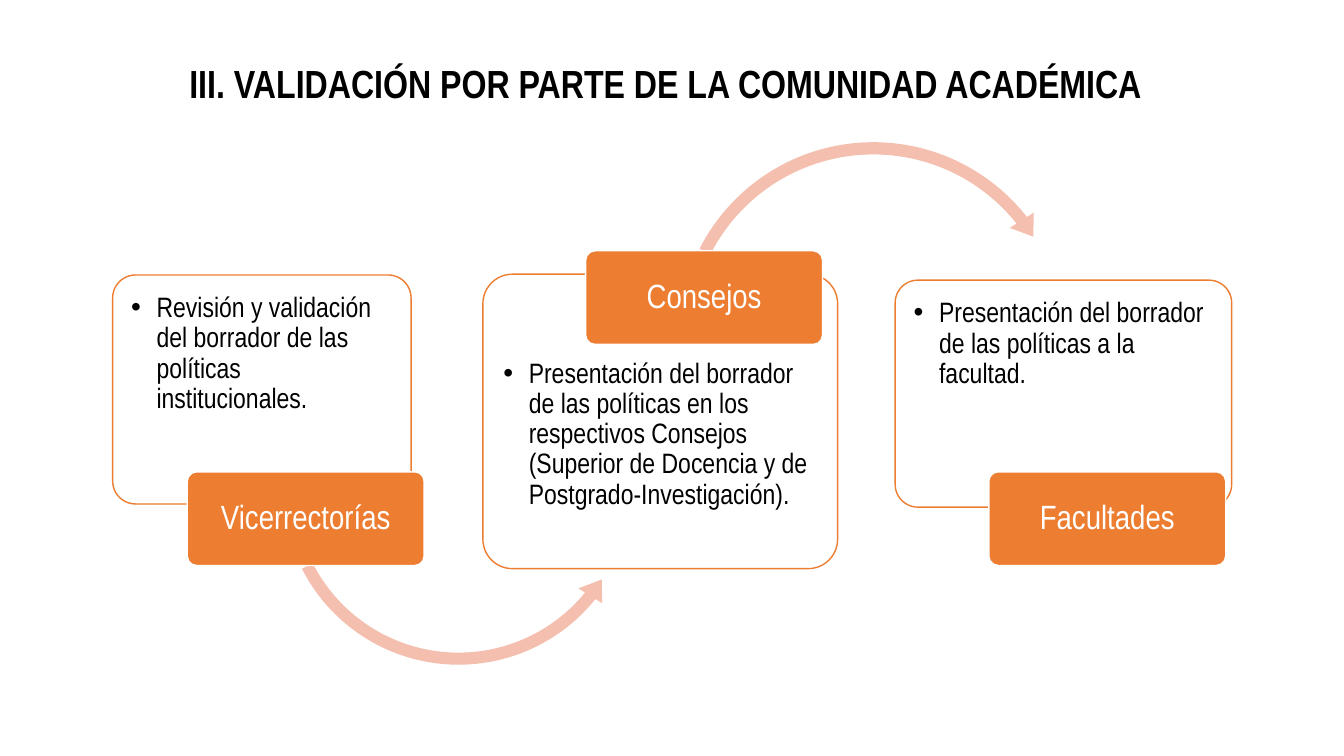
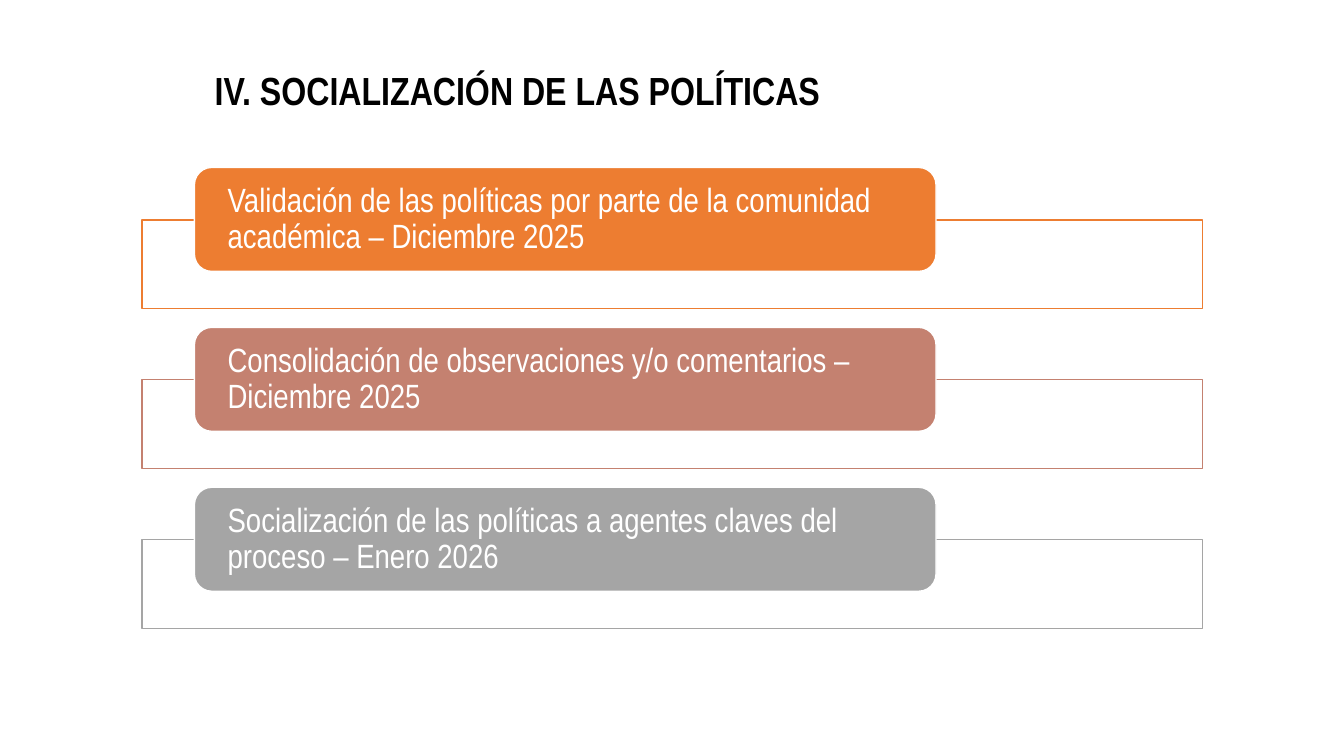
"""Build two slides on validating and sharing institutional policies."""
import pptx
import pptx.dml.color
import pptx.enum.shapes
import pptx.enum.text
import pptx.oxml.ns
import pptx.util
from lxml import etree

Cm = pptx.util.Cm
Pt = pptx.util.Pt
SHAPE = pptx.enum.shapes.MSO_SHAPE
ALIGN = pptx.enum.text.PP_ALIGN
ANCHOR = pptx.enum.text.MSO_ANCHOR
qn = pptx.oxml.ns.qn

FONT = "Arial Narrow"
COLORS = {
    "black": "000000",
    "white": "FFFFFF",
    "orange": "ED7D31",
    "peach": "F4BFAE",
    "rose": "C48170",
    "gray": "A5A5A5",
}


def rgb(name):
    """Return the named palette colour."""
    return pptx.dml.color.RGBColor.from_string(COLORS[name])


def add_bullet(p, indent=0.64):
    """Give a paragraph a round bullet with a hanging indent in centimetres."""
    pPr = p._p.get_or_add_pPr()
    pPr.set("marL", str(Cm(indent)))
    pPr.set("indent", str(-Cm(indent)))
    etree.SubElement(pPr, qn("a:buFont")).set("typeface", "Arial")
    etree.SubElement(pPr, qn("a:buChar")).set("char", "•")


def write(shape, text, size=24, color="white", bold=False, align=ALIGN.LEFT,
          anchor=ANCHOR.MIDDLE, insets=(0.25, 0.13, 0.25, 0.13), bullet=False):
    """Write one formatted paragraph into a shape."""
    tf = shape.text_frame
    tf.word_wrap = True
    tf.auto_size = pptx.enum.text.MSO_AUTO_SIZE.NONE
    tf.vertical_anchor = anchor
    tf.margin_left, tf.margin_top, tf.margin_right, tf.margin_bottom = map(Cm, insets)
    p = tf.paragraphs[0]
    if bullet:
        add_bullet(p)
    p.alignment = align
    p.line_spacing = 0.9
    r = p.add_run()
    r.text = text
    r.font.name = FONT
    r.font.size = Pt(size)
    r.font.bold = bold
    r.font.color.rgb = rgb(color)


def add_shape(s, kind, box, fill, line=None, adjustments=(), alpha=None):
    """Add a flat preset shape; box is left, top, width, height in centimetres."""
    sp = s.shapes.add_shape(kind, *map(Cm, box))
    sp.shadow.inherit = False
    for i, value in enumerate(adjustments):
        sp.adjustments[i] = value
    sp.fill.solid()
    sp.fill.fore_color.rgb = rgb(fill)
    if alpha:
        color = sp._element.spPr.find(qn("a:solidFill"))[0]
        etree.SubElement(color, qn("a:alpha")).set("val", str(alpha * 1000))
    if line:
        sp.line.color.rgb = rgb(line)
        sp.line.width = Pt(1)
    else:
        sp.line.fill.background()
    return sp


def add_titled_slide(prs, title, box):
    """Add a title-only slide with its title placed in box."""
    s = prs.slides.add_slide(prs.slide_layouts[5])
    sp = s.shapes.title
    sp.left, sp.top, sp.width, sp.height = map(Cm, box)
    write(sp, title, size=28, color="black", bold=True)
    return s


def add_step(s, text, box, label, label_at, text_top=0.3, arrow=None):
    """Add a bulleted panel with an optional curved arrow and a label on its edge."""
    panel = add_shape(s, SHAPE.ROUNDED_RECTANGLE, box, "white", "orange", (0.1,), 90)
    write(panel, text, size=20, color="black", anchor=ANCHOR.TOP,
          insets=(0.3, text_top, 0.3, 0.3), bullet=True)
    if arrow:
        kind, left, top, side, adjustments = arrow
        add_shape(s, kind, (left, top, side, side), "peach", adjustments=adjustments)
    tag = add_shape(s, SHAPE.ROUNDED_RECTANGLE, (*label_at, 5.97, 2.36),
                    "orange", "white", (0.1,))
    write(tag, label, align=ALIGN.CENTER, insets=(0.13, 0.08, 0.13, 0.08))


def add_milestone(s, text, color, top):
    """Add a wide outlined frame with a filled bar across its upper edge."""
    add_shape(s, SHAPE.RECTANGLE, (3.58, top + 1.32, 26.72, 2.24), "white", color, alpha=90)
    bar = add_shape(s, SHAPE.ROUNDED_RECTANGLE, (4.9, top, 18.69, 2.62), color, "white")
    write(bar, text, insets=(0.71, 0, 0.71, 0))


def build_validation(prs):
    """Build the slide with the three validation steps."""
    s = add_titled_slide(prs, "III. VALIDACIÓN POR PARTE DE LA COMUNIDAD ACADÉMICA",
                         (4.52, 1.14, 24.82, 2.03))
    add_step(s, "Revisión y validación del borrador de las políticas institucionales.",
             (2.84, 6.93, 7.52, 5.77), "Vicerrectorías", (4.72, 11.89),
             arrow=(SHAPE.LEFT_CIRCULAR_ARROW, 6.93, 7.7, 9.25,
                    (0.033, 4.072, 23.397, 91.815, 0.038)))
    add_step(s, "Presentación del borrador de las políticas en los respectivos Consejos "
             "(Superior de Docencia y de Postgrado-Investigación).",
             (12.17, 6.91, 8.94, 7.42), "Consejos", (14.76, 6.32), text_top=1.92,
             arrow=(SHAPE.CIRCULAR_ARROW, 16.89, 3.38, 10.24,
                    (0.03, 3.642, 193.057, 124.208, 0.035)))
    add_step(s, "Presentación del borrador de las políticas a la facultad.",
             (22.56, 7.06, 8.48, 5.72), "Facultades", (24.92, 11.89))


def build_sharing(prs):
    """Build the slide with the three dated milestones."""
    s = add_titled_slide(prs, "IV. SOCIALIZACIÓN DE LAS POLÍTICAS",
                         (5.16, 1.14, 24.82, 2.39))
    milestones = [
        ("Validación de las políticas por parte de la comunidad académica – Diciembre 2025",
         "orange"),
        ("Consolidación de observaciones y/o comentarios – Diciembre 2025", "rose"),
        ("Socialización de las políticas a agentes claves del proceso – Enero 2026", "gray"),
    ]
    for i, (text, color) in enumerate(milestones):
        add_milestone(s, text, color, 4.22 + 4.03 * i)


def main():
    """Build and save the presentation."""
    prs = pptx.Presentation()
    prs.slide_width, prs.slide_height = Cm(33.87), Cm(19.05)
    build_validation(prs)
    build_sharing(prs)
    prs.save("out.pptx")


if __name__ == "__main__":
    main()
